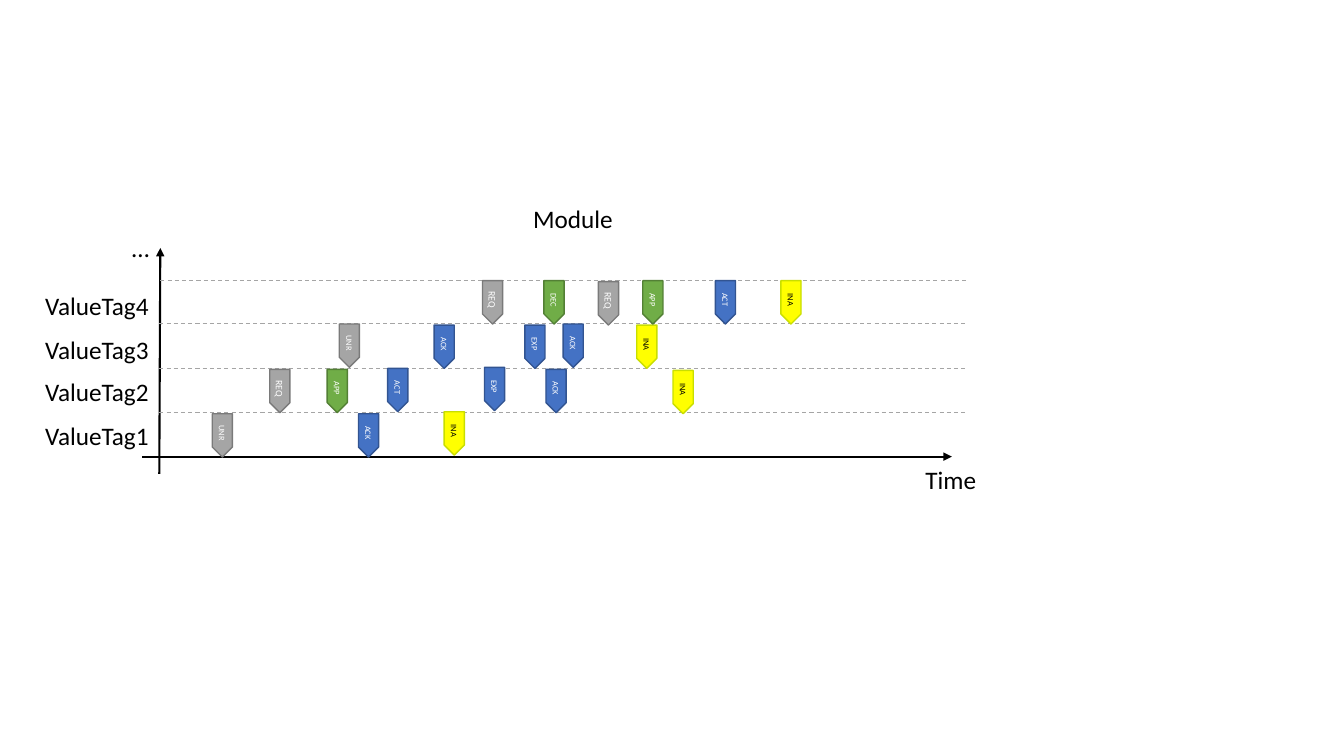
from pptx import Presentation
from pptx import util as u
from pptx.dml import color as c
from pptx.enum import dml, shapes, text
from pptx.oxml import ns, xmlchemy as x

BLACK, WHITE, GREY = "000000", "FFFFFF", "A5A5A5"

# Marker formats: fill, outline, text colour
REQUESTED = (GREY, "7A7A7A", WHITE)
APPROVED = ("70AD47", "538035", WHITE)
ACTIVE = ("4472C4", "325491", WHITE)
INACTIVE = ("FFFF00", "C9DE00", BLACK)
STATE_FORMATS = {
    "UNR": REQUESTED, "REQ": REQUESTED,
    "APP": APPROVED, "DEC": APPROVED,
    "ACK": ACTIVE, "ACT": ACTIVE, "EXP": ACTIVE,
    "INA": INACTIVE,
}

# Lanes from bottom to top: label, label top, guide left, guide top,
# and markers as (state, left, top)
LANES = [
    ("ValueTag1", 4.12, 1.58, 4.09,
     [("UNR", 1.99, 4.22), ("ACK", 3.44, 4.22), ("INA", 4.29, 4.2)]),
    ("ValueTag2", 3.68, 1.58, 3.66,
     [("REQ", 2.56, 3.78), ("APP", 3.13, 3.78), ("ACT", 3.73, 3.77),
      ("EXP", 4.69, 3.76), ("ACK", 5.3, 3.78), ("INA", 6.56, 3.79)]),
    ("ValueTag3", 3.27, 1.58, 3.21,
     [("UNR", 3.25, 3.33), ("ACK", 4.19, 3.34), ("EXP", 5.09, 3.34),
      ("ACK", 5.47, 3.33), ("INA", 6.2, 3.34)]),
    ("ValueTag4", 2.83, 1.59, 2.78,
     [("REQ", 4.67, 2.9), ("DEC", 5.28, 2.9), ("REQ", 5.82, 2.91),
      ("APP", 6.26, 2.9), ("ACT", 6.98, 2.9), ("INA", 7.63, 2.9)]),
]
GUIDE_LENGTH = 8.02


def rgb(value):
    """Turn a hex string into a colour."""
    return c.RGBColor.from_string(value)


def inches(*values):
    """Turn numbers into lengths."""
    return [u.Inches(value) for value in values]


def apply(target, formats):
    """Set each named attribute of the target."""
    for name, value in formats.items():
        setattr(target, name, value)


class TimelineSlide:
    """Hold the style and the slide that is being drawn."""

    font = "Calibri"
    label_size = 18
    marker_size = (0.43, 0.2)

    def __init__(self, presentation):
        """Add a blank slide."""
        self.slide = presentation.slides.add_slide(presentation.slide_layouts[6])

    def add_words(self, shape, words, size, colour, align):
        """Put one formatted paragraph in a shape."""
        paragraph = shape.text_frame.paragraphs[0]
        paragraph.alignment = align
        run = paragraph.add_run()
        run.text = words
        apply(run.font, {"name": self.font, "size": u.Pt(size)})
        run.font.color.rgb = rgb(colour)

    def label(self, words, left, top, width, wrap=False):
        """Add a text label."""
        shape = self.slide.shapes.add_textbox(*inches(left, top, width, 0.4))
        apply(shape.text_frame, {
            "word_wrap": wrap,
            "auto_size": text.MSO_AUTO_SIZE.SHAPE_TO_FIT_TEXT,
        })
        self.add_words(shape, words, self.label_size, BLACK, text.PP_ALIGN.LEFT)

    def line(self, start, end, colour, width, dash=None):
        """Add a straight line without shadow."""
        connector = self.slide.shapes.add_connector(
            shapes.MSO_CONNECTOR.STRAIGHT, *inches(*start, *end))
        connector.line.color.rgb = rgb(colour)
        apply(connector.line, {"width": u.Pt(width), "dash_style": dash})
        properties = connector.element.spPr
        properties.append(x.OxmlElement("a:effectLst"))
        return properties.find(ns.qn("a:ln"))

    def axis(self, start, end):
        """Add an axis with an arrowhead at its end."""
        outline = self.line(start, end, BLACK, 1.5)
        arrowhead = x.OxmlElement("a:tailEnd")
        arrowhead.set("type", "triangle")
        outline.append(arrowhead)

    def guide(self, left, top):
        """Add a dashed lane boundary."""
        self.line((left, top), (left + GUIDE_LENGTH, top), GREY, 0.75,
                  dml.MSO_LINE.DASH)

    def marker(self, state, left, top):
        """Add a state marker that points down."""
        fill, outline, colour = STATE_FORMATS[state]
        shape = self.slide.shapes.add_shape(
            shapes.MSO_SHAPE.PENTAGON, *inches(left, top, *self.marker_size))
        shape.rotation = 90
        shape.shadow.inherit = False
        shape.fill.solid()
        shape.fill.fore_color.rgb = rgb(fill)
        shape.line.color.rgb = rgb(outline)
        shape.line.width = u.Pt(1)
        apply(shape.text_frame, {
            "word_wrap": True,
            "vertical_anchor": text.MSO_ANCHOR.MIDDLE,
        })
        size = 7 if state == "REQ" else 6
        self.add_words(shape, state, size, colour, text.PP_ALIGN.CENTER)


def main():
    """Build the timeline and save it."""
    presentation = Presentation()
    apply(presentation, {"slide_width": u.Inches(13.33),
                         "slide_height": u.Inches(7.5)})
    timeline = TimelineSlide(presentation)

    timeline.axis((1.41, 4.53), (9.44, 4.53))
    timeline.axis((1.58, 4.7), (1.59, 2.46))
    timeline.label("Module", 5.19, 1.97, 1)
    timeline.label("Time", 9.08, 4.56, 0.71)
    timeline.label("…", 1.21, 2.26, 0.38, wrap=True)

    for name, label_top, guide_left, guide_top, _ in LANES:
        timeline.label(name, 0.35, label_top, 1.24)
        timeline.guide(guide_left, guide_top)
    for *_, markers in LANES:
        for marker in markers:
            timeline.marker(*marker)

    presentation.save("out.pptx")


main()
